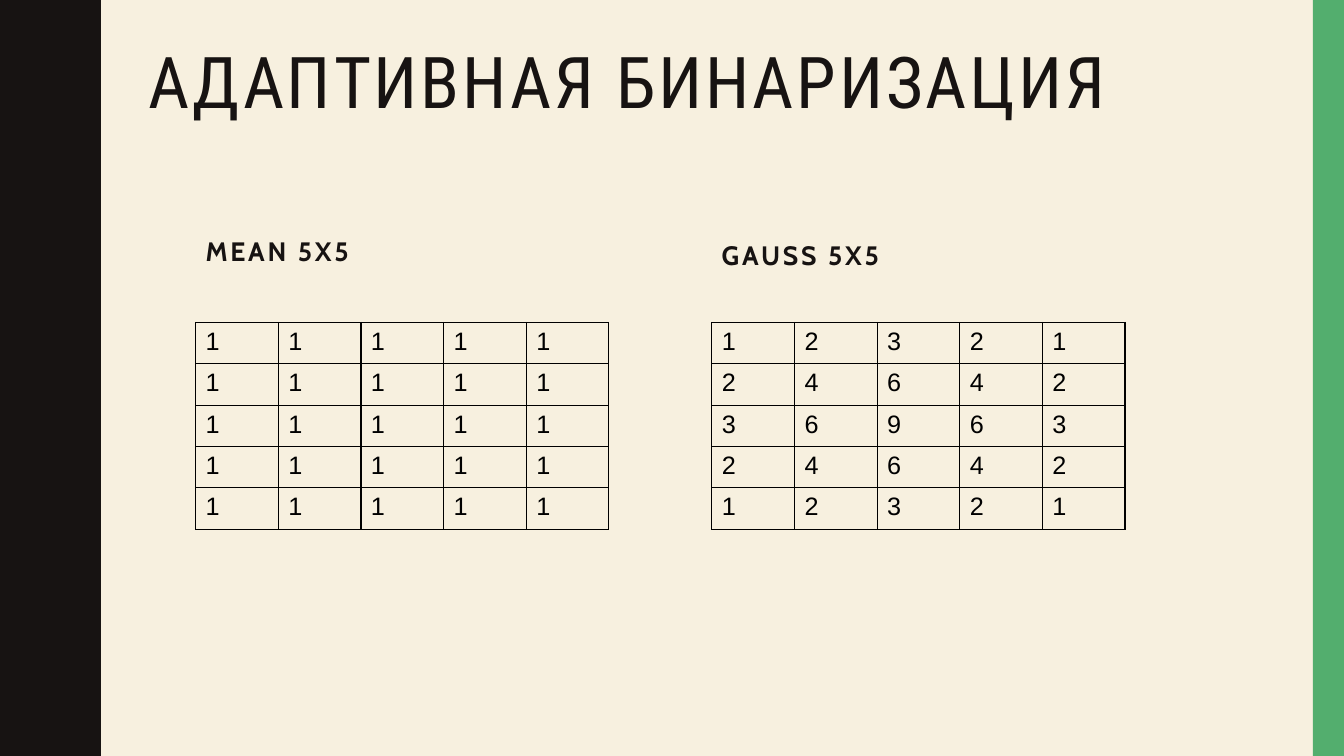
from lxml import etree
from pptx import Presentation
from pptx.dml.color import RGBColor
from pptx.enum.shapes import MSO_SHAPE
from pptx.enum.text import MSO_ANCHOR
from pptx.oxml.ns import qn
from pptx.util import Inches, Pt

RECT = MSO_SHAPE.RECTANGLE
TOP, BOTTOM = MSO_ANCHOR.TOP, MSO_ANCHOR.BOTTOM
WIDE, HIGH = 13.33, 7.5
CREAM, INK, GREEN, BLACK = "F7F0DF", "171312", "53AE6E", "000000"
CELL_W, CELL_H = 0.82, 0.41
GRID_TOP = 3.2
WAVES = 5
BEND = [(0.78, 0), (0.78, 0.07), (0.79, 0.14), (0.8, 0.2),
        (0.81, 0.25), (0.83, 0.29), (0.85, 0.33)]


def paint(fill, color):
    """Give a fill one solid colour."""
    fill.solid()
    fill.fore_color.rgb = RGBColor.from_string(color)


def finish(shape, color):
    """Leave a shape with a plain fill only."""
    paint(shape.fill, color)
    shape.line.fill.background()
    shape.shadow.inherit = False


def style(para, font, size, color, bold=False, gap=0):
    """Format the runs of a paragraph."""
    for run in para.runs:
        run.font.name = font
        run.font.size = Pt(size)
        run.font.bold = bold
        run.font.color.rgb = RGBColor.from_string(color)
        if gap:
            run.font._element.set("spc", str(gap * 100))


def label(slide, box, text, anchor):
    """Add a wrapped text box and return its paragraph."""
    frame = slide.shapes.add_textbox(*map(Inches, box)).text_frame
    frame.word_wrap = True
    frame.vertical_anchor = anchor
    frame.text = text
    return frame.paragraphs[0]


def wavy(slide):
    """Draw the dark band with a wavy right edge."""
    wave = HIGH / WAVES
    half = BEND + [(0.87, wave / 4)]
    half += [(1.75 - x, wave / 2 - y) for x, y in reversed(BEND)]
    full = half + [(x, wave - y) for x, y in reversed(half[1:-1])]
    edge = [(x, y + k * wave) for k in range(WAVES) for x, y in full]
    edge += [(BEND[0][0], HIGH), (0, HIGH)]
    form = slide.shapes.build_freeform(0, 0, scale=Inches(1))
    form.add_line_segments(edge, close=True)
    finish(form.convert_to_shape(), INK)


def stripe(slide, box):
    """Draw the coloured stripe."""
    finish(slide.shapes.add_shape(RECT, *map(Inches, box)), GREEN)


def title(slide, box, text):
    """Write the slide title."""
    para = label(slide, box, text, TOP)
    para.line_spacing = 0.9
    style(para, "Roboto Condensed", 51, INK, gap=2)


def border(cell):
    """Rule all four sides of a cell."""
    props = cell._tc.get_or_add_tcPr()
    for side in ("lnL", "lnR", "lnT", "lnB"):
        line = etree.SubElement(props, qn("a:" + side), w=str(Pt(1)))
        fill = etree.SubElement(line, qn("a:solidFill"))
        etree.SubElement(fill, qn("a:srgbClr"), val=BLACK)


def matrix(slide, left, top, rows):
    """Draw a ruled table of numbers."""
    high, wide = len(rows), len(rows[0])
    size = Inches(wide * CELL_W), Inches(high * CELL_H)
    table = slide.shapes.add_table(
        high, wide, Inches(left), Inches(top), *size).table
    table.first_row = table.horz_banding = False
    for row in table.rows:
        row.height = Inches(CELL_H)
    for col in table.columns:
        col.width = Inches(CELL_W)
    for r, row in enumerate(rows):
        for c, value in enumerate(row):
            cell = table.cell(r, c)
            cell.text = str(value)
            style(cell.text_frame.paragraphs[0], "Arial", 18, BLACK)
            border(cell)
            cell.fill.background()


def panel(slide, box, name, rows):
    """Place a heading in its box and its matrix below."""
    para = label(slide, box, name, BOTTOM)
    para.space_before = Pt(7)
    style(para, "Cabin", 19, INK, bold=True, gap=2)
    matrix(slide, box[0], GRID_TOP, rows)


def kernel(weights):
    """Multiply a row of weights by itself as a column."""
    return [[a * b for b in weights] for a in weights]


def main():
    """Build and save the slide."""
    deck = Presentation()
    deck.slide_width, deck.slide_height = Inches(WIDE), Inches(HIGH)
    slide = deck.slides.add_slide(deck.slide_layouts[6])
    paint(slide.background.fill, CREAM)
    wavy(slide)
    stripe(slide, (WIDE - 0.31, 0, 0.31, HIGH))
    title(slide, (1.37, 0.42, 11.12, 1.63), "АДАПТИВНАЯ БИНАРИЗАЦИЯ")
    panel(slide, (1.94, 2.01, 5.25, 0.69), "MEAN 5X5", kernel([1] * 5))
    panel(slide, (7.06, 2.02, 4.42, 0.72), "GAUSS 5X5",
          kernel([1, 2, 3, 2, 1]))
    deck.save("out.pptx")


if __name__ == "__main__":
    main()
